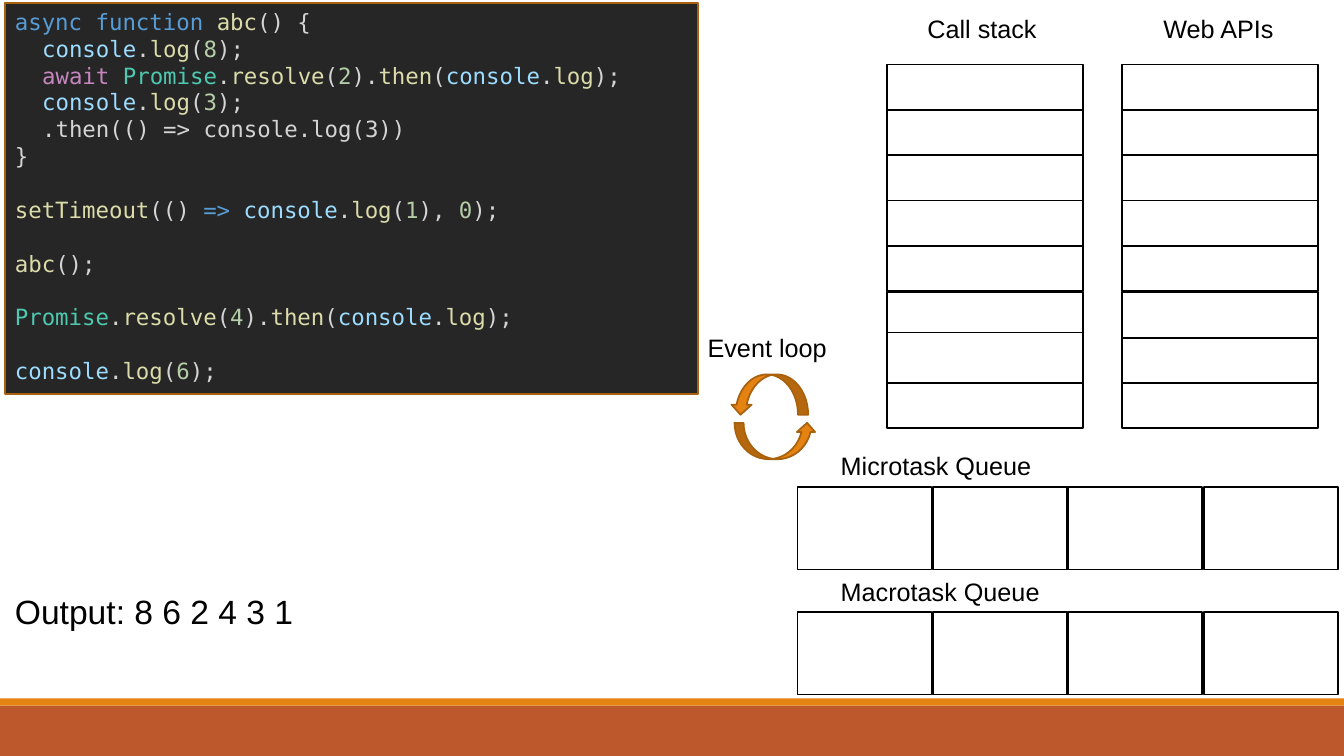
import itertools
import pptx
import pptx.dml.color
import pptx.enum.shapes
import pptx.enum.text
import pptx.util

Inches, Pt = pptx.util.Inches, pptx.util.Pt
RGB = pptx.dml.color.RGBColor
SHAPE = pptx.enum.shapes.MSO_SHAPE
TEXT = pptx.enum.text

BLACK = RGB(0x00, 0x00, 0x00)
WHITE = RGB(0xFF, 0xFF, 0xFF)
DARK = RGB(0x26, 0x26, 0x26)
ORANGE = RGB(0xE4, 0x83, 0x12)
BROWN = RGB(0xA9, 0x61, 0x0D)
RUST = RGB(0xBD, 0x58, 0x2C)
PLAIN = RGB(0xD4, 0xD4, 0xD4)
BLUE = RGB(0x56, 0x9C, 0xD6)
SKY = RGB(0x9C, 0xDC, 0xFE)
YELLOW = RGB(0xDC, 0xDC, 0xAA)
GREEN = RGB(0xB5, 0xCE, 0xA8)
TEAL = RGB(0x4E, 0xC9, 0xB0)
PINK = RGB(0xC5, 0x86, 0xC0)

# Content: code lines as text, indented, blank line above, highlighted
CODE = [
    ("async function abc() {", False, False, True),
    ("console.log(8);", True, False, True),
    ("await Promise.resolve(2).then(console.log);", True, False, True),
    ("console.log(3);", True, False, True),
    (".then(() => console.log(3))", True, False, False),
    ("}", False, False, True),
    ("setTimeout(() => console.log(1), 0);", False, True, True),
    ("abc();", False, True, True),
    ("Promise.resolve(4).then(console.log);", False, True, True),
    ("console.log(6);", False, True, True),
]
COLORS = {
    "async": BLUE, "function": BLUE, "=>": BLUE, "await": PINK,
    "Promise": TEAL, "console": SKY, "abc": YELLOW, "log": YELLOW,
    "resolve": YELLOW, "then": YELLOW, "setTimeout": YELLOW,
}
# Label, left, top, width, size
LABELS = [
    ("Call stack", 9.1, 0.08, 1.3, 18),
    ("Web APIs", 11.44, 0.08, 1.51, 18),
    ("Event loop", 6.92, 3.25, 1.5, 18),
    ("Microtask Queue", 8.24, 4.42, 2.51, 18),
    ("Macrotask Queue", 8.24, 5.67, 2.51, 18),
    ("Output: 8 6 2 4 3 1", 0.05, 5.81, 3, 24),
]
# Stacks as left and top of the seventh cell
STACKS = [(8.8, 3.3), (11.13, 3.35)]
QUEUES = [4.83, 6.07]
# Loop arrows as kind, box, upside down
ARROWS = [
    (SHAPE.CURVED_RIGHT_ARROW, (7.51, 3.97, 0.36, 0.81), False),
    (SHAPE.CURVED_LEFT_ARROW, (7.43, 3.53, 0.4, 0.77), True),
]

deck = pptx.Presentation()
deck.slide_width, deck.slide_height = Inches(13.33), Inches(7.5)
slide = deck.slides.add_slide(deck.slide_layouts[6])


def draw(kind, box, fill, line=None, home=slide):
    shape = home.shapes.add_shape(kind, *map(Inches, box))
    shape.shadow.inherit = False
    shape.fill.solid()
    shape.fill.fore_color.rgb = fill
    if line is None:
        shape.line.fill.background()
    else:
        shape.line.color.rgb = line
        shape.line.width = Pt(1.25)
    return shape


def write(text, para, size=18, font="Arial", color=BLACK):
    run = para.add_run()
    run.text = text
    run.font.size = Pt(size)
    run.font.name = font
    run.font.color.rgb = color


def kind_of(char):
    return "word" if char.isalnum() else "arrow" if char in "=>" else "mark"


# Footer bars
draw(SHAPE.RECTANGLE, (0, 7, 13.33, 0.5), RUST)
draw(SHAPE.RECTANGLE, (0, 6.93, 13.33, 0.07), ORANGE)

# Code panel
panel = draw(SHAPE.RECTANGLE, (0.05, 0.03, 6.87, 3.88), DARK, BROWN)
frame = panel.text_frame
frame.word_wrap = True
frame.vertical_anchor = TEXT.MSO_ANCHOR.TOP
for row, (line, inset, gap, lit) in enumerate(CODE):
    para = frame.paragraphs[0] if row == 0 else frame.add_paragraph()
    para.alignment = TEXT.PP_ALIGN.LEFT
    para.line_spacing = Pt(19.2)
    para.space_before = Pt(19.2 if gap else 0)
    if inset:
        para._p.get_or_add_pPr().set("marL", str(Inches(0.27)))
    parts = ["".join(part) for _, part in itertools.groupby(line, kind_of)]
    for part in parts if lit else [line]:
        color = GREEN if part.isdigit() else COLORS.get(part, PLAIN)
        write(part, para, size=16, font="DejaVu Sans Mono", color=color)

# Call stack and Web APIs
for left, seventh in STACKS:
    group = slide.shapes.add_group_shape()
    tops = [0.64 + 0.45 * row for row in range(5)] + [2.9, seventh, 3.8]
    for top in tops:
        high = 3.8 - top if top == seventh else 0.45
        draw(SHAPE.RECTANGLE, (left, top, 1.94, high), WHITE, BLACK, group)

# Task queues
for top in QUEUES:
    for col in range(4):
        box = (7.91 + 1.343 * col, top, 1.33, 0.82)
        draw(SHAPE.RECTANGLE, box, WHITE, BLACK)

# Event loop arrows
loop = slide.shapes.add_group_shape()
for kind, box, flip in ARROWS:
    arrow = draw(kind, box, ORANGE, BROWN, loop)
    arrow.rotation = 270
    if flip:
        arrow._element.spPr.xfrm.set("flipV", "1")

# Labels
for text, left, top, width, size in LABELS:
    high = 0.5 if size > 18 else 0.4
    label = slide.shapes.add_textbox(*map(Inches, (left, top, width, high)))
    label.text_frame.word_wrap = True
    label.text_frame.auto_size = TEXT.MSO_AUTO_SIZE.SHAPE_TO_FIT_TEXT
    write(text, label.text_frame.paragraphs[0], size=size)

deck.save("out.pptx")
